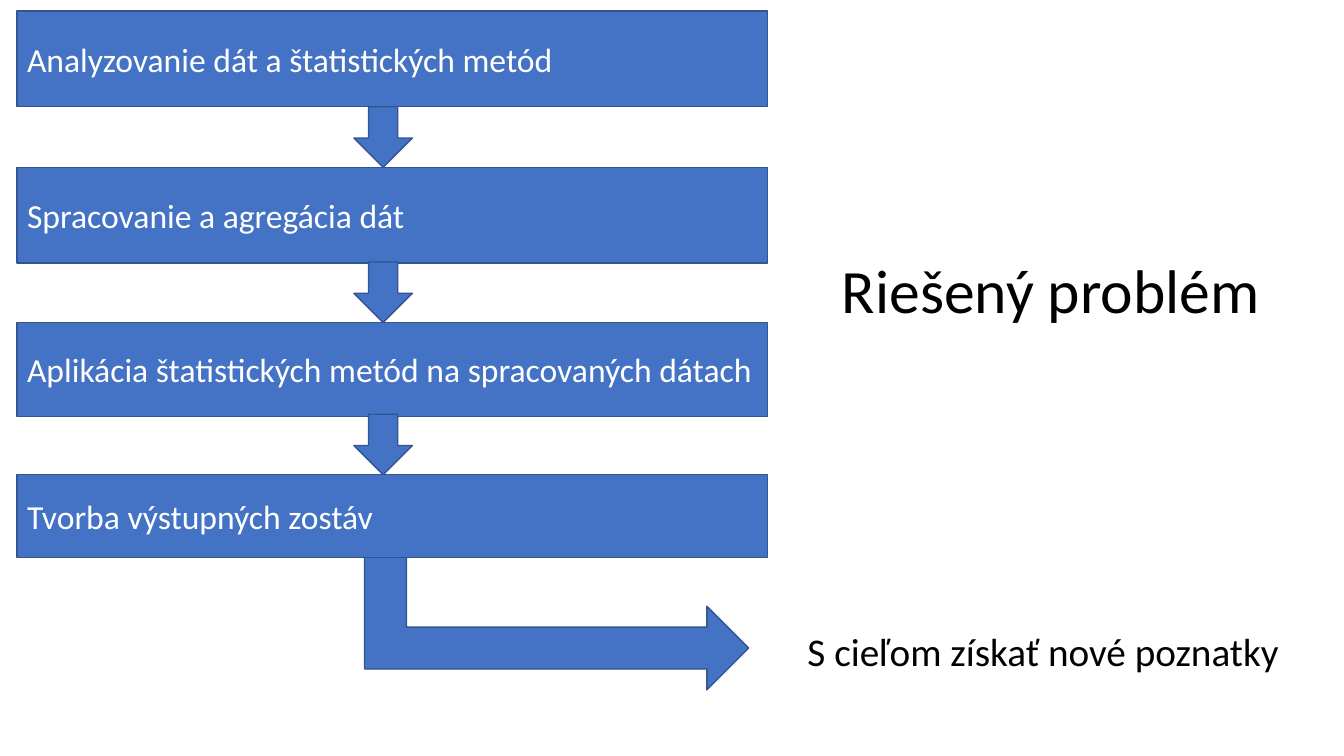
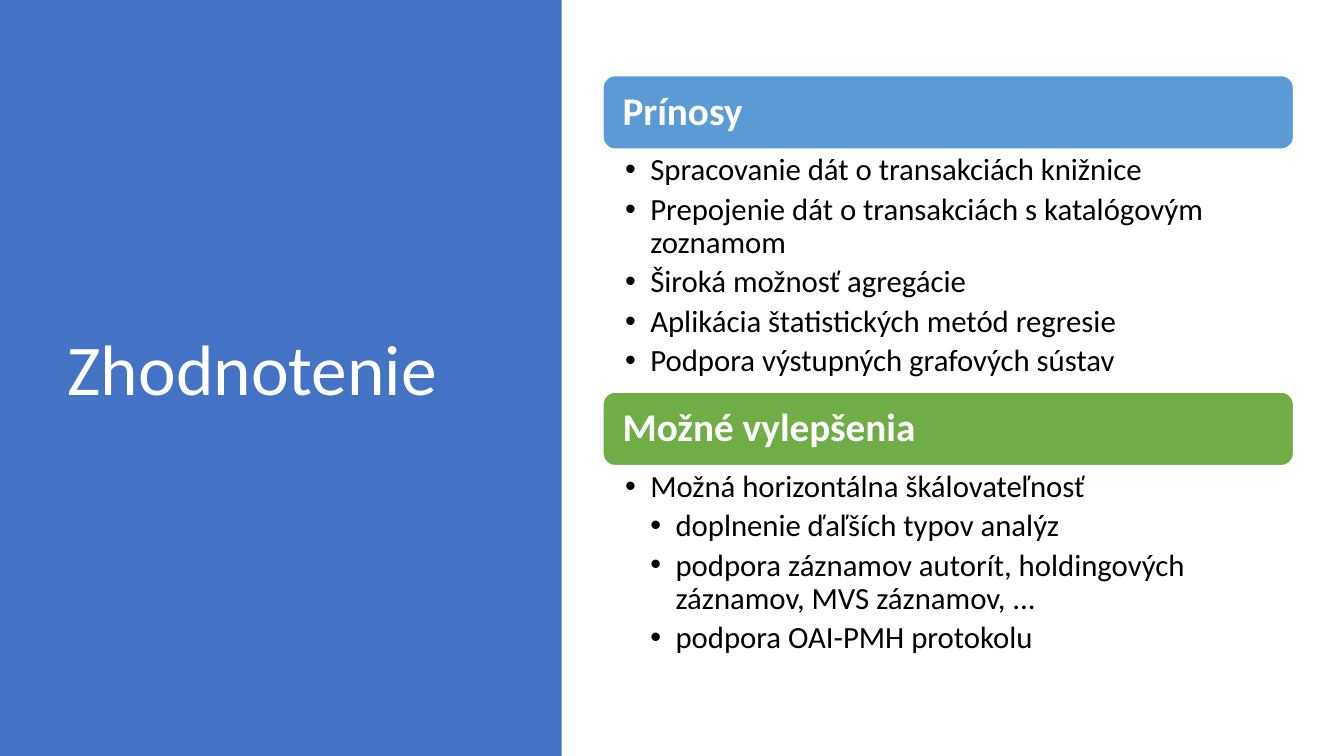
import pptx
import pptx.util
import pptx.dml.color
import pptx.enum.shapes
import pptx.enum.text
import pptx.oxml
import pptx.oxml.ns
import lxml.etree

Pt = pptx.util.Pt
RGBColor = pptx.dml.color.RGBColor
SHAPE = pptx.enum.shapes.MSO_SHAPE
ANCHOR = pptx.enum.text.MSO_ANCHOR
ALIGN = pptx.enum.text.PP_ALIGN
AUTO_SIZE = pptx.enum.text.MSO_AUTO_SIZE

PX = 9144
FONT = "Calibri"
BLUE = RGBColor(0x44, 0x72, 0xC4)
EDGE = RGBColor(0x32, 0x54, 0x91)
SKY = RGBColor(0x5B, 0x9B, 0xD5)
GREEN = RGBColor(0x70, 0xAD, 0x47)
WHITE = RGBColor(0xFF, 0xFF, 0xFF)
BLACK = RGBColor(0, 0, 0)

STEPS = [
    ("Analyzovanie dát a štatistických metód", 0, 95),
    ("Spracovanie a agregácia dát", 155, 95),
    ("Aplikácia štatistických metód na spracovaných dátach", 309, 93),
    ("Tvorba výstupných zostáv", 460, 82),
]
BENEFITS = [
    ("Spracovanie dát o transakciách knižnice", 0),
    ("Prepojenie dát o transakciách s katalógovým zoznamom", 0),
    ("Široká možnosť agregácie", 0),
    ("Aplikácia štatistických metód regresie", 0),
    ("Podpora výstupných grafových sústav", 0),
]
IMPROVEMENTS = [
    ("Možná horizontálna škálovateľnosť", 0),
    ("doplnenie ďaľších typov analýz", 1),
    ("podpora záznamov autorít, holdingových záznamov, MVS záznamov, ...", 1),
    ("podpora OAI-PMH protokolu", 1),
]


def emu(*lengths):
    """Turn px lengths into EMU."""
    return [pptx.util.Emu(n * PX) for n in lengths]


def place(sp, x, y, w, h):
    """Move and size a shape."""
    sp.left, sp.top, sp.width, sp.height = emu(x, y, w, h)


def set_margins(tf, side, edge):
    """Set the side and the top and bottom insets of a text frame."""
    tf.margin_left, tf.margin_right, tf.margin_top, tf.margin_bottom = emu(
        side, side, edge, edge)


def style(p, size, color, bold=False, spacing=1.0, after=0):
    """Format a paragraph and its runs."""
    p.alignment = ALIGN.LEFT
    p.line_spacing = spacing
    p.space_before, p.space_after = Pt(0), Pt(after)
    for r in p.runs:
        r.font.name, r.font.size, r.font.bold = FONT, Pt(size), bold
        r.font.color.rgb = color


def add_block(s, kind, x, y, w, h, fill, line=None):
    """Add a flat preset shape."""
    sp = s.shapes.add_shape(kind, *emu(x, y, w, h))
    sp.shadow.inherit = False
    sp.fill.solid()
    sp.fill.fore_color.rgb = fill
    if line is None:
        sp.line.fill.background()
    else:
        sp.line.color.rgb = line
        sp.line.width = Pt(1)
    return sp


def label(sp, text, size, color, bold=False, spacing=1.0):
    """Write one vertically centred line into a shape."""
    tf = sp.text_frame
    tf.text = text
    tf.word_wrap = True
    tf.auto_size = AUTO_SIZE.NONE
    tf.vertical_anchor = ANCHOR.MIDDLE
    style(tf.paragraphs[0], size, color, bold, spacing)


def set_title(s, text, box, size, color):
    """Fill the title placeholder."""
    place(s.shapes.title, *box)
    label(s.shapes.title, text, size, color, spacing=0.9)


def add_bullet(p, level):
    """Give a paragraph a round bullet with a hanging indent."""
    pPr = p._p.get_or_add_pPr()
    pPr.set("marL", str(25 * (level + 1) * PX))
    pPr.set("indent", str(-25 * PX))
    font = lxml.etree.SubElement(pPr, pptx.oxml.ns.qn("a:buFont"))
    font.set("typeface", "Arial")
    char = lxml.etree.SubElement(pPr, pptx.oxml.ns.qn("a:buChar"))
    char.set("char", "•")


def fill_list(body, items, x, y, w, h):
    """Fill a body placeholder with a bulleted list."""
    place(body, x, y, w, h)
    tf = body.text_frame
    tf.text = "\n".join(text for text, level in items)
    tf.word_wrap = True
    tf.auto_size = AUTO_SIZE.NONE
    tf.vertical_anchor = ANCHOR.TOP
    set_margins(tf, 22, 4)
    for p, (text, level) in zip(tf.paragraphs, items):
        p.level = level
        style(p, 22, BLACK, spacing=0.9, after=4.4)
        add_bullet(p, level)


def add_pipeline(s, x, y, w):
    """Draw the steps, the arrows between them and the bent arrow out."""
    arrow_w, arrow_h = 58, 60
    bent = add_block(s, SHAPE.BENT_UP_ARROW, x + 452, y + 400, 166, 381, BLUE, EDGE)
    bent.rotation = 90
    for text, top, h in STEPS:
        step = add_block(s, SHAPE.RECTANGLE, x, y + top, w, h, BLUE, EDGE)
        label(step, text, 24, WHITE)
    for text, top, h in STEPS[1:]:
        add_block(s, SHAPE.DOWN_ARROW, x + 334, y + top - arrow_h,
                  arrow_w, arrow_h, BLUE, EDGE)


def add_section(s, body, heading, color, items, x, y, w, h):
    """Draw a heading bar with its list below."""
    bar_h = 73
    bar = add_block(s, SHAPE.ROUNDED_RECTANGLE, x, y, w, bar_h, color, WHITE)
    label(bar, heading, 28, WHITE, bold=True, spacing=0.9)
    set_margins(bar.text_frame, 16, 12)
    fill_list(body, items, x, y + bar_h + 1, w, h - bar_h - 1)


def build_problem(prs):
    """Build the slide with the process steps."""
    s = prs.slides.add_slide(prs.slide_layouts[5])
    set_title(s, "Riešený problém", (825, 226, 478, 130), 44, BLACK)
    goal = s.shapes.add_textbox(*emu(791, 617, 492, 57))
    goal.text_frame.text = "S cieľom získať nové poznatky"
    goal.text_frame.word_wrap = False
    goal.text_frame.auto_size = AUTO_SIZE.SHAPE_TO_FIT_TEXT
    style(goal.text_frame.paragraphs[0], 28, BLACK)
    add_pipeline(s, 17, 11, 744)


def build_evaluation(prs):
    """Build the slide with the title panel and two lists."""
    s = prs.slides.add_slide(prs.slide_layouts[3])
    panel = add_block(s, SHAPE.RECTANGLE, 0, 0, 557, 750, BLUE)
    set_title(s, "Zhodnotenie", (57, 68, 416, 602), 51, WHITE)
    panel.element.addnext(s.shapes.title.element)
    add_section(s, s.placeholders[1], "Prínosy", SKY, BENEFITS,
                598, 75, 685, 315)
    add_section(s, s.placeholders[2], "Možné vylepšenia", GREEN, IMPROVEMENTS,
                598, 389, 685, 274)


def main():
    """Build and save the presentation."""
    prs = pptx.Presentation()
    prs.slide_width, prs.slide_height = pptx.util.Inches(13.33), pptx.util.Inches(7.5)
    build_problem(prs)
    build_evaluation(prs)
    prs.save("out.pptx")


if __name__ == "__main__":
    main()
